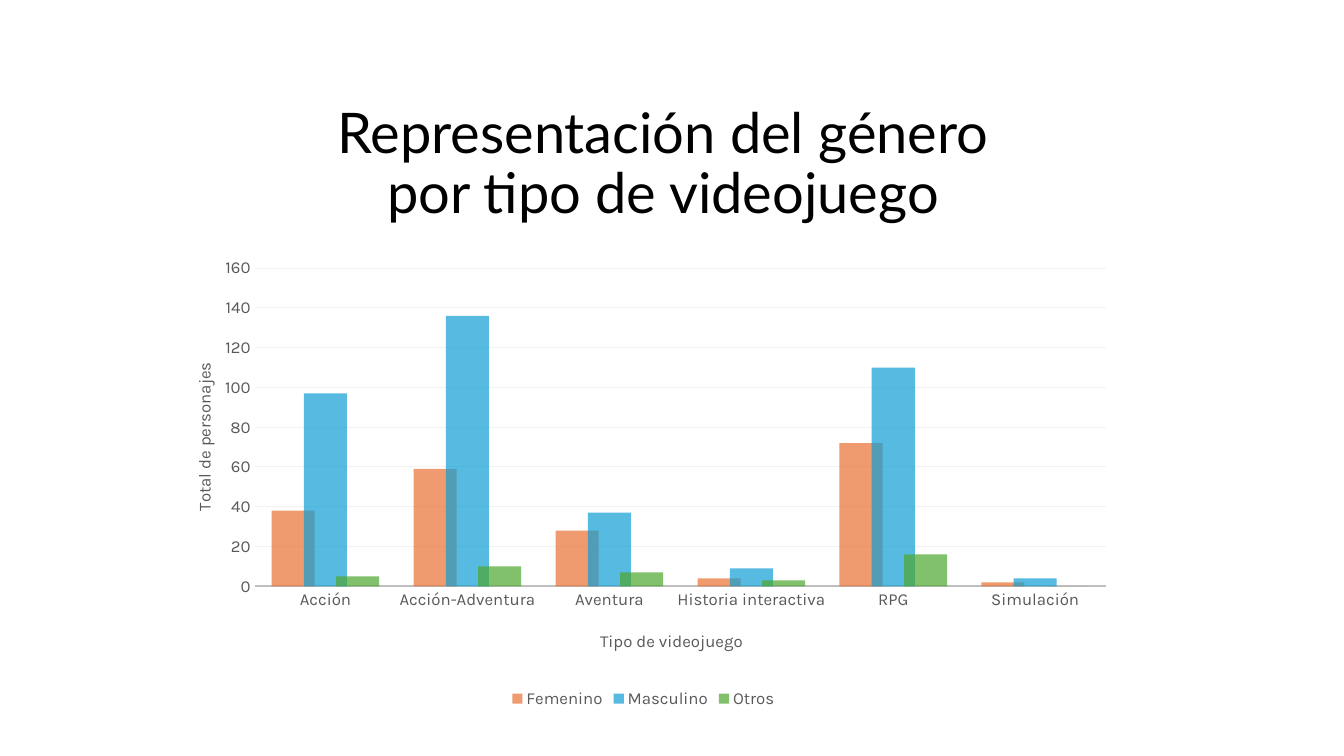
from lxml.etree import SubElement
from pptx import Presentation
from pptx.chart.data import CategoryChartData
from pptx.dml.color import RGBColor
from pptx.enum.chart import XL_CHART_TYPE, XL_LEGEND_POSITION, XL_TICK_MARK
from pptx.enum.text import MSO_ANCHOR, PP_ALIGN
from pptx.oxml import parse_xml
from pptx.oxml.ns import nsdecls, qn
from pptx.util import Inches, Pt

GREY = "595959"
GAME_TYPES = ["Acción", "Acción-Adventura", "Aventura",
              "Historia interactiva", "RPG", "Simulación"]
GENDERS = [
    ("Femenino", "E97132", [38, 59, 28, 4, 72, 2]),
    ("Masculino", "0F9ED5", [97, 136, 37, 9, 110, 4]),
    ("Otros", "4EA72E", [5, 10, 7, 3, 16, 0]),
]


def color(value):
    return RGBColor.from_string(value)


def style_font(font, size=12, name="Karla", fill=GREY):
    font.size = Pt(size)
    font.name = name
    font.bold = False
    font.color.rgb = color(fill)


def write_text(frame, text, align=PP_ALIGN.CENTER, spacing=None, **font_format):
    paragraph = frame.paragraphs[0]
    paragraph.alignment = align
    if spacing:
        paragraph.line_spacing = spacing
    for index, line in enumerate(text.split("\n")):
        if index:
            paragraph.add_line_break()
        run = paragraph.add_run()
        run.text = line
        style_font(run.font, **font_format)


def add_heading(slide, text, left, top, width, height):
    heading = slide.shapes.add_textbox(
        Inches(left), Inches(top), Inches(width), Inches(height))
    frame = heading.text_frame
    frame.word_wrap = True
    frame.vertical_anchor = MSO_ANCHOR.BOTTOM
    write_text(frame, text, spacing=0.9, size=40, name="Lato", fill="000000")


def place(element, position, x, y, size=None):
    for old in element.findall(qn("c:layout")):
        element.remove(old)
    settings = [("xMode", "edge"), ("yMode", "edge"), ("x", x), ("y", y)]
    if size:
        settings.insert(0, ("layoutTarget", "inner"))
        settings += [("w", size[0]), ("h", size[1])]
    parts = "".join(f'<c:{tag} val="{value}"/>' for tag, value in settings)
    element.insert(position, parse_xml(
        f'<c:layout {nsdecls("c")}><c:manualLayout>{parts}</c:manualLayout></c:layout>'))


def style_axis(axis, title, x, y):
    axis.major_tick_mark = XL_TICK_MARK.NONE
    axis.minor_tick_mark = XL_TICK_MARK.NONE
    style_font(axis.tick_labels.font)
    write_text(axis.axis_title.text_frame, title)
    place(axis.axis_title._element, 1, x, y)


def style_line(line, fill, width):
    line.color.rgb = color(fill)
    line.width = Pt(width)


def fill_series(series, fill, opacity):
    series.format.fill.solid()
    series.format.fill.fore_color.rgb = color(fill)
    series.invert_if_negative = False
    for node in series._element.iter(qn("a:srgbClr")):
        SubElement(node, qn("a:alpha")).set("val", str(opacity * 1000))


def add_gender_chart(slide, left, top, width, height):
    data = CategoryChartData()
    data.categories = GAME_TYPES
    for name, _, totals in GENDERS:
        data.add_series(name, totals)
    chart = slide.shapes.add_chart(
        XL_CHART_TYPE.COLUMN_CLUSTERED, Inches(left), Inches(top),
        Inches(width), Inches(height), data).chart
    style_font(chart.font, size=10, fill="000000")
    chart.has_title = False

    columns = chart.plots[0]
    columns.vary_by_categories = False
    columns.gap_width = 80
    columns.overlap = 25
    for series, (_, fill, _) in zip(columns.series, GENDERS):
        fill_series(series, fill, 70)

    game_axis, total_axis = chart.category_axis, chart.value_axis
    style_axis(game_axis, "Tipo de videojuego", 0.45, 0.83)
    style_axis(total_axis, "Total de personajes", 0.01, 0.3)
    style_line(game_axis.format.line, "BFBFBF", 1.25)
    total_axis.format.line.fill.background()
    total_axis.minimum_scale = 0
    total_axis.maximum_scale = 160
    total_axis.major_unit = 20
    style_line(total_axis.major_gridlines.format.line, "F2F2F2", 0.75)
    place(chart._chartSpace.chart.plotArea, 0, 0.08, 0.12, (0.92, 0.63))

    chart.has_legend = True
    chart.legend.position = XL_LEGEND_POSITION.BOTTOM
    chart.legend.include_in_layout = False
    style_font(chart.legend.font)


def main():
    presentation = Presentation()
    presentation.slide_width = Inches(13.33)
    presentation.slide_height = Inches(7.5)
    slide = presentation.slides.add_slide(presentation.slide_layouts[6])
    add_heading(slide, "Representación del género\npor tipo de videojuego",
                1.22, 1.07, 10.71, 1.22)
    add_gender_chart(slide, 1.79, 2.06, 9.19, 5.01)
    presentation.save("out.pptx")


if __name__ == "__main__":
    main()
